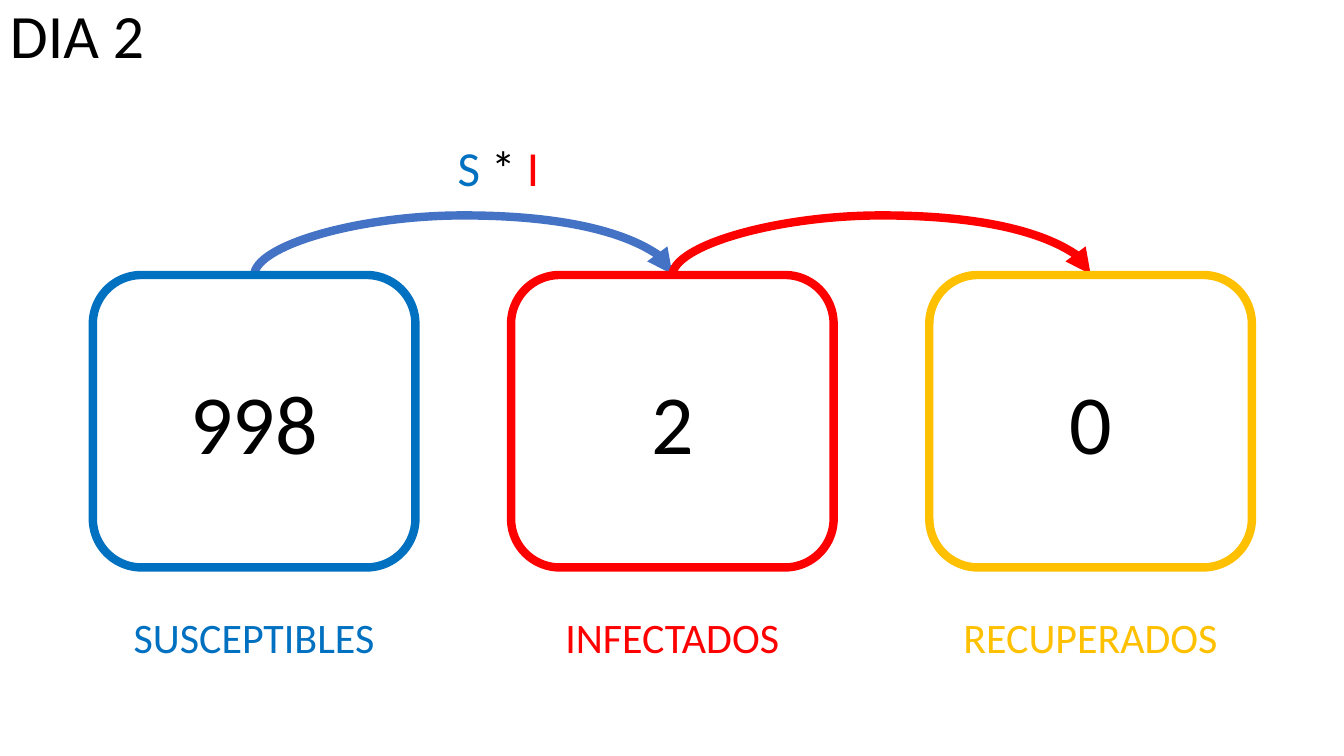
import pptx
import pptx.dml.color
import pptx.enum.shapes
import pptx.enum.text
import pptx.util
from lxml import etree
from pptx.util import Cm

FONT = "Calibri"
BLACK, WHITE = "000000", "FFFFFF"
BLUE, RED, GOLD, ARC = "0070C0", "FF0000", "FFC000", "4472C4"
LEFT, STEP, WIDTH = 2.34, 10.54, 8.13
TOP, HIGH = 6.93, 7.37
THIN, RISE = 0.04, 1.52
GROUPS = [
    ("SUSCEPTIBLES", "998", BLUE),
    ("INFECTADOS", "2", RED),
    ("RECUPERADOS", "0", GOLD),
]


def color(code):
    """Turn a hex string into a colour."""
    return pptx.dml.color.RGBColor.from_string(code)


def style(run, size, code):
    """Set the font of one run."""
    run.font.name = FONT
    run.font.size = pptx.util.Pt(size)
    run.font.color.rgb = color(code)


def add_title(slide, text):
    """Add the heading at the top left."""
    frame = slide.shapes.add_textbox(0, 0, Cm(29.21), Cm(1.93)).text_frame
    frame.word_wrap = True
    frame.vertical_anchor = pptx.enum.text.MSO_ANCHOR.MIDDLE
    line = frame.paragraphs[0]
    line.text = text
    line.line_spacing = 0.9
    style(line.runs[0], 44, BLACK)


def add_box(slide, place, parts, size, edge=None):
    """Add a rounded box with centred text, outlined if an edge is given."""
    kind = pptx.enum.shapes.MSO_SHAPE.ROUNDED_RECTANGLE
    box = slide.shapes.add_shape(kind, *map(Cm, place))
    box.shadow.inherit = False
    if edge:
        box.fill.solid()
        box.fill.fore_color.rgb = color(WHITE)
        box.line.color.rgb = color(edge)
        box.line.width = pptx.util.Pt(6)
    else:
        box.fill.background()
        box.line.fill.background()
    box.text_frame.vertical_anchor = pptx.enum.text.MSO_ANCHOR.MIDDLE
    line = box.text_frame.paragraphs[0]
    line.alignment = pptx.enum.text.PP_ALIGN.CENTER
    for text, code in parts:
        run = line.add_run()
        run.text = text
        style(run, size, code)


def add_arc(slide, start, code):
    """Add a curved arrow from one box top to the next."""
    mid = start + STEP / 2
    kind = pptx.enum.shapes.MSO_CONNECTOR.CURVE
    arc = slide.shapes.add_connector(
        kind, Cm(mid + THIN / 2), Cm(TOP + STEP / 2),
        Cm(mid - THIN / 2), Cm(TOP - STEP / 2))
    arc.line.color.rgb = color(code)
    arc.line.width = pptx.util.Pt(6)
    space = pptx.oxml.ns.qn
    props = arc._element.spPr
    props.find(space("a:xfrm")).set("rot", "5400000")
    guides = props.find(space("a:prstGeom")).find(space("a:avLst"))
    bend = round(RISE / THIN * 100000)
    etree.SubElement(guides, space("a:gd"), name="adj1", fmla=f"val {bend}")
    etree.SubElement(props.find(space("a:ln")), space("a:tailEnd"), type="triangle")
    etree.SubElement(props, space("a:effectLst"))


def main():
    """Build and save the slide."""
    deck = pptx.Presentation()
    deck.slide_width, deck.slide_height = Cm(33.87), Cm(19.05)
    slide = deck.slides.add_slide(deck.slide_layouts[6])
    add_title(slide, "DIA 2")
    for index, code in enumerate([ARC, RED]):
        add_arc(slide, LEFT + WIDTH / 2 + index * STEP, code)
    for index, (name, count, code) in enumerate(GROUPS):
        left = LEFT + index * STEP
        add_box(slide, (left, TOP, WIDTH, HIGH), [(count, BLACK)], 60, code)
        add_box(slide, (left, 14.88, WIDTH, 2.34), [(name, code)], 30)
    rate = [("S", BLUE), (" * ", BLACK), ("I", RED)]
    add_box(slide, (11.15, 3.53, 2.82, 1.35), rate, 35)
    deck.save("out.pptx")


if __name__ == "__main__":
    main()
